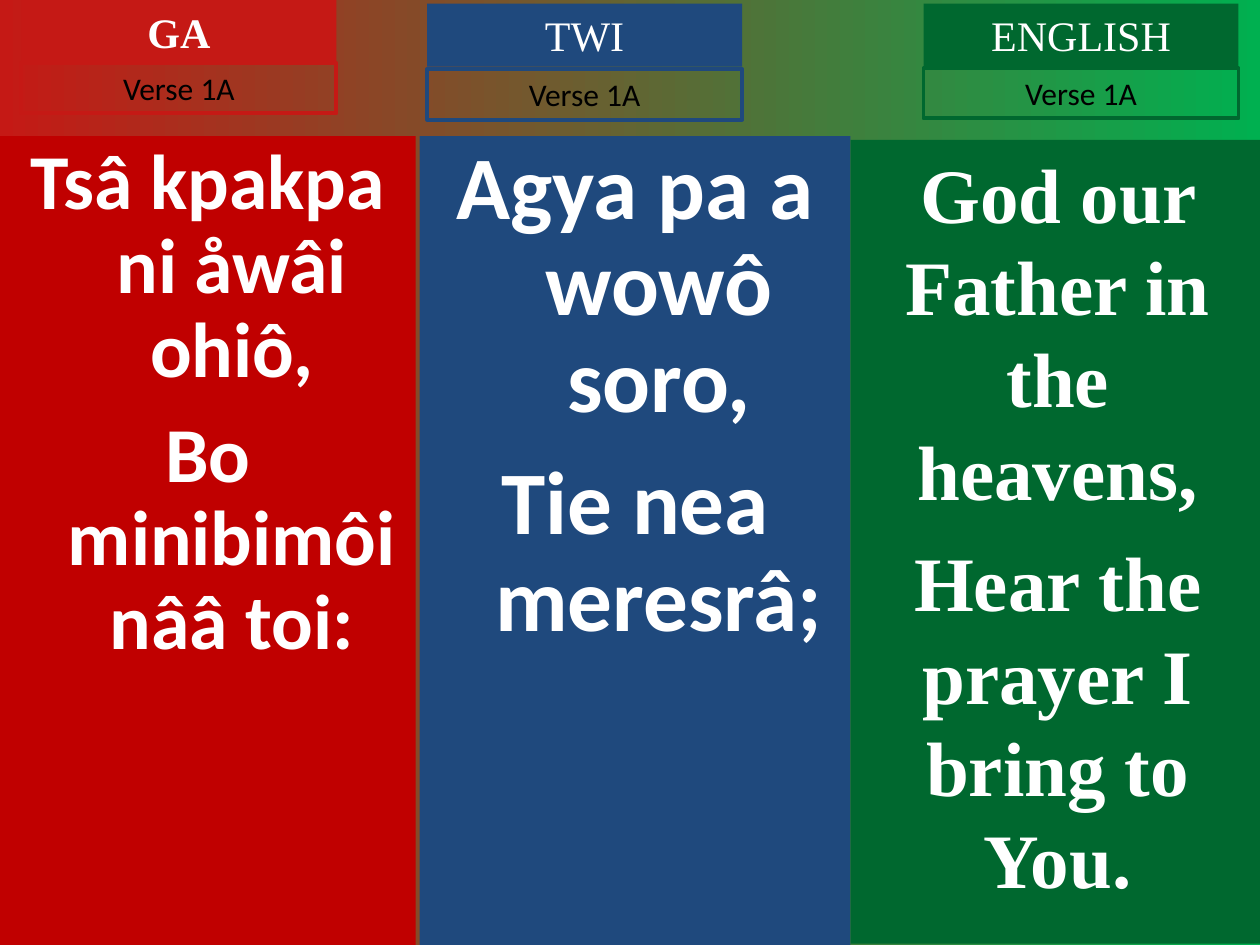
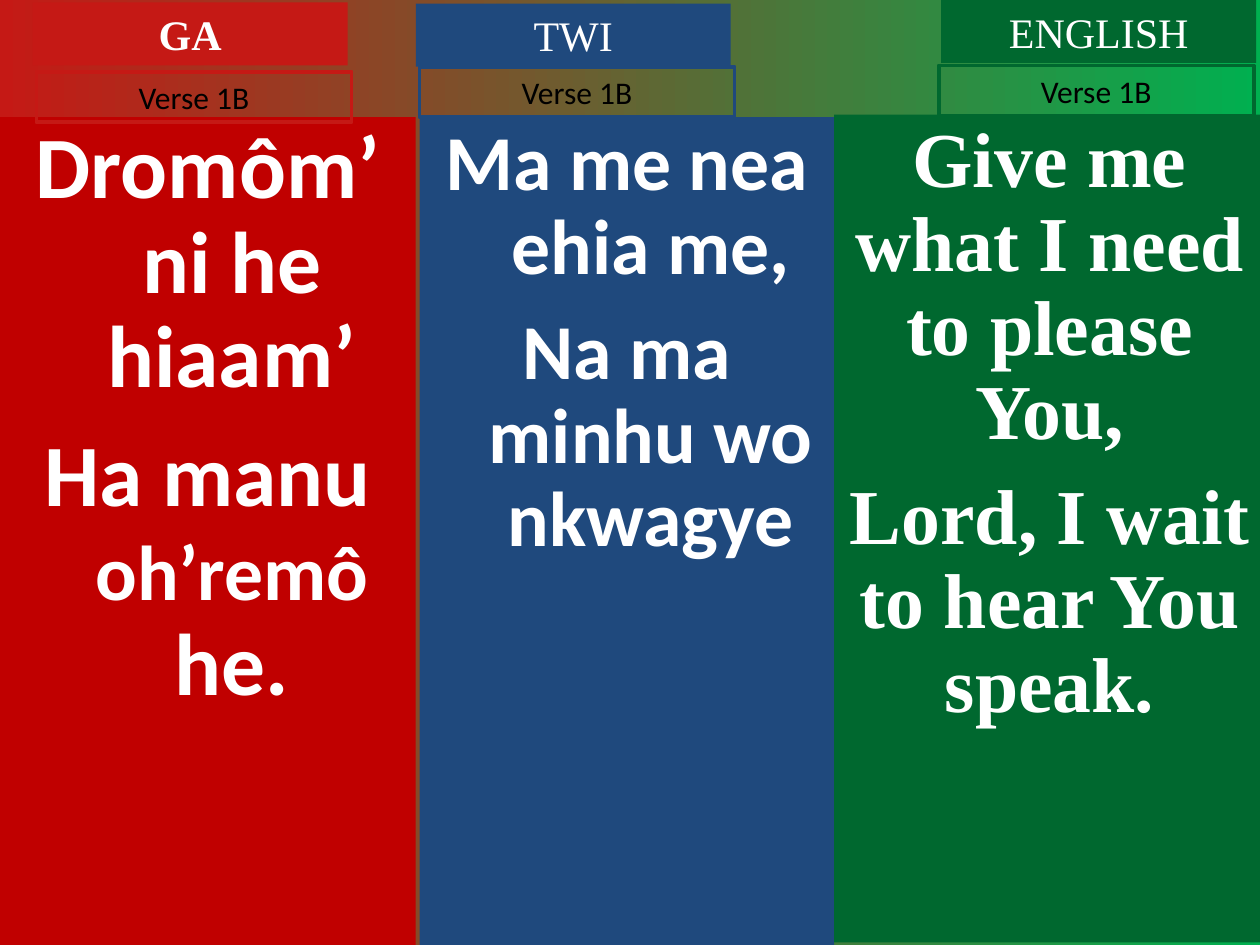
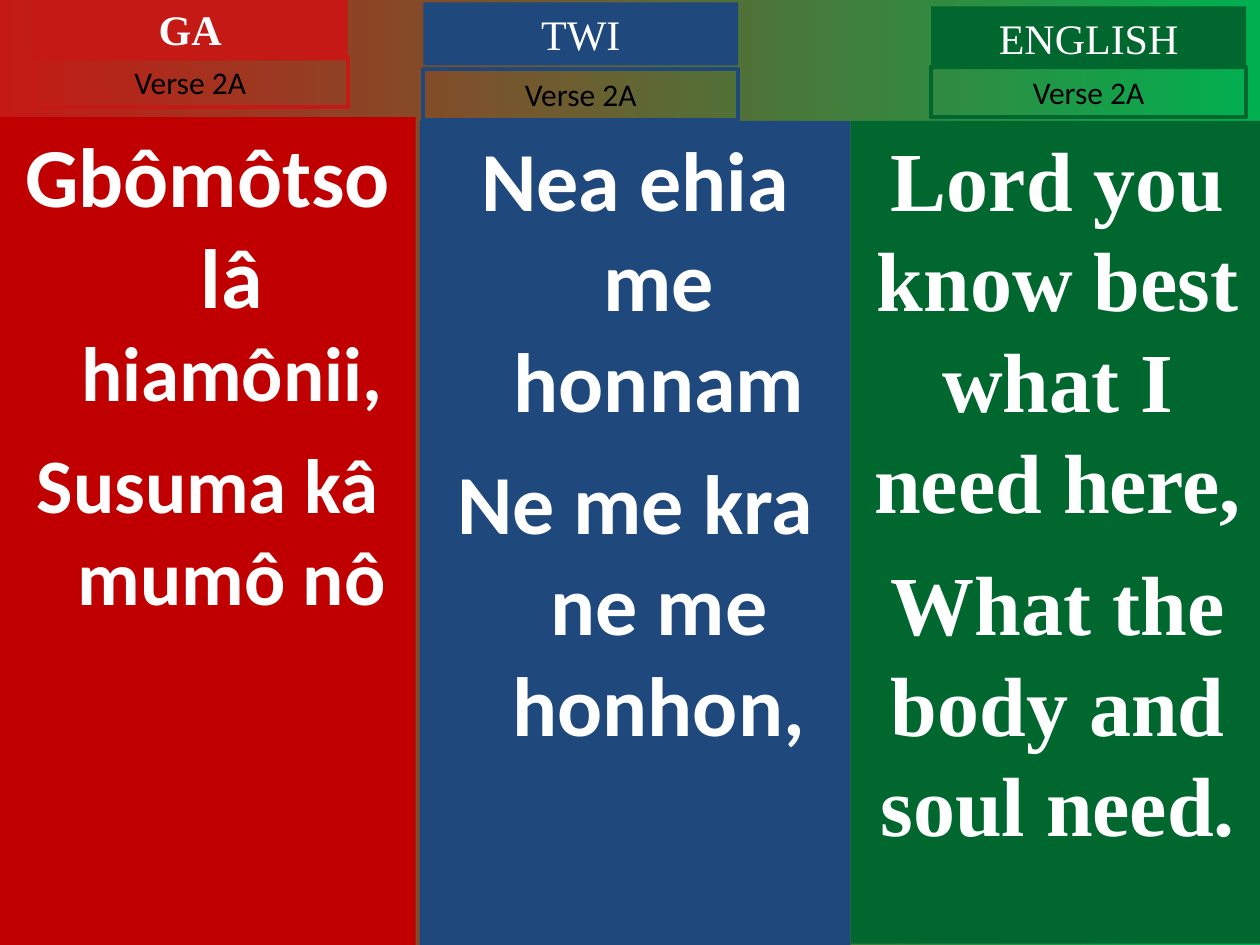
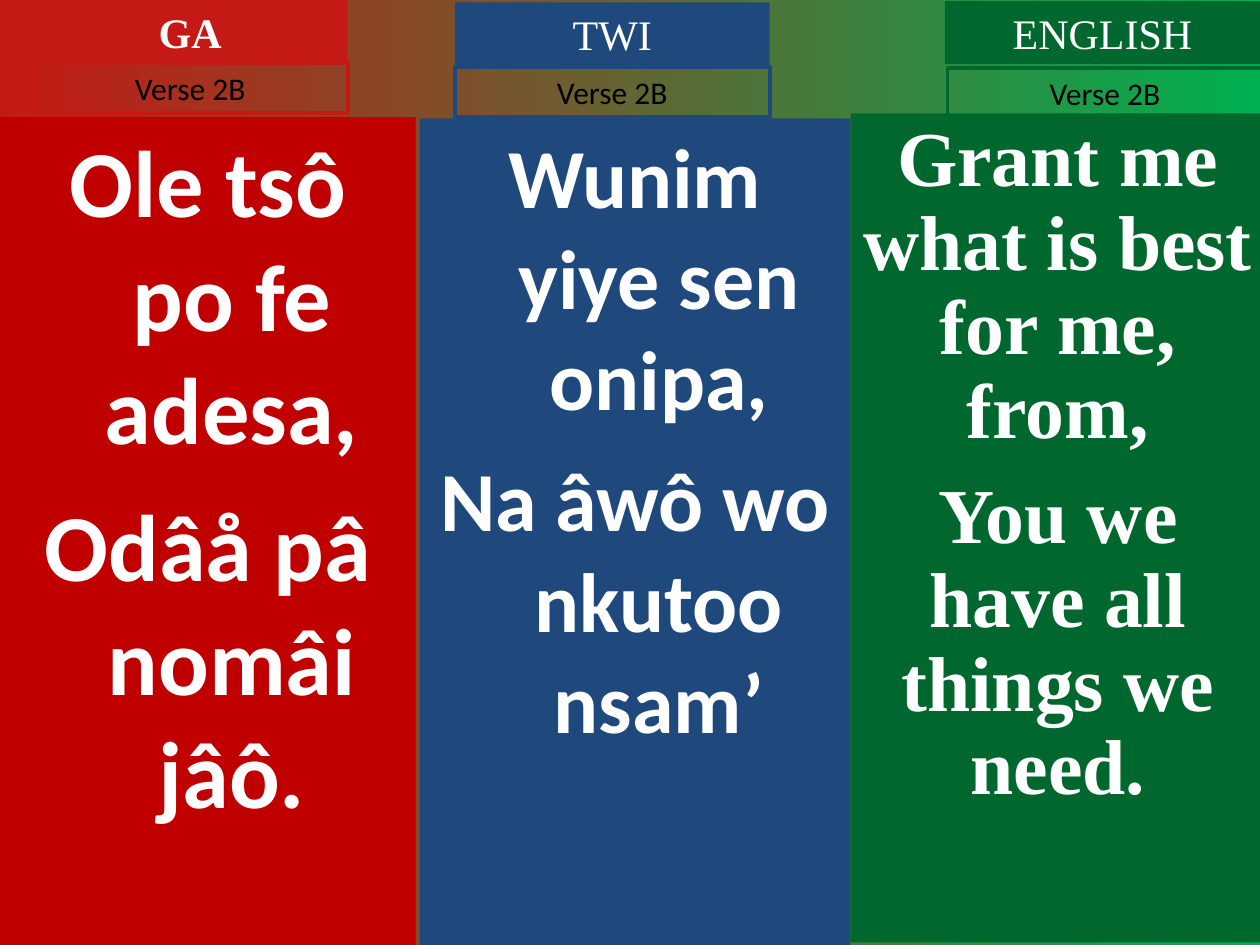
from dataclasses import dataclass

from pptx import Presentation
from pptx.dml.color import RGBColor
from pptx.enum.shapes import MSO_SHAPE
from pptx.enum.text import MSO_ANCHOR, MSO_AUTO_SIZE, PP_ALIGN
from pptx.util import Inches, Pt


@dataclass(frozen=True)
class Theme:
    white: str = "FFFFFF"
    black: str = "000000"
    gradient: tuple = ("C51915", "00B050")
    heading_font: str = "Times New Roman"
    label_font: str = "Calibri"
    heading_size: float = 24
    label_size: float = 18
    label_line: float = 2.25
    tag_width: float = 2.5
    heading_height: float = 0.5
    label_height: float = 0.4
    hanging_indent: float = 0.38


@dataclass(frozen=True)
class Language:
    name: str
    panel_color: str
    tag_color: str
    lyric_font: str
    hanging: bool = True
    bold_heading: bool = False


@dataclass(frozen=True)
class Column:
    language: Language
    panel: tuple
    heading_at: tuple
    label_at: tuple
    size: float
    gap: float
    line_spacing: float
    lyrics: tuple


THEME = Theme()
GA = Language("GA", "C00000", "C51915", "Calibri", bold_heading=True)
TWI = Language("TWI", "1F497D", "1F497D", "Calibri")
ENGLISH = Language("ENGLISH", "00682F", "00682F", "Times New Roman", hanging=False)

VERSES = {
    "Verse 1A": (
        Column(GA, (0, 1.08, 3.3, 6.42), (0.17, 0), (0.17, 0.5), 44.4, 12, 0.9,
               ("Tsâ kpakpa ni åwâi ohiô,", "Bo minibimôi nââ toi:")),
        Column(TWI, (3.33, 1.08, 3.42, 6.42), (3.39, 0.03), (3.39, 0.55), 51, 15, 0.9,
               ("Agya pa a wowô soro,", "Tie nea meresrâ;")),
        Column(ENGLISH, (6.75, 1.11, 3.29, 6.38), (7.33, 0.03), (7.33, 0.54), 44, 11, 1,
               ("God our Father in the heavens,", "Hear the prayer I bring to You.")),
    ),
    "Verse 1B": (
        Column(GA, (0, 0.93, 3.3, 6.57), (0.26, 0.02), (0.29, 0.57), 50, 13.5, 0.9,
               ("Dromôm’ ni he hiaam’",
                (("Ha manu ", 50), ("oh’remô", 44.4), (" he.", 50)))),
        Column(TWI, (3.33, 0.93, 3.29, 6.57), (3.3, 0.03), (3.33, 0.53), 44.4, 12, 0.9,
               ("Ma me nea ehia me,", "Na ma minhu wo nkwagye")),
        Column(ENGLISH, (6.62, 0.91, 3.42, 6.57), (7.47, 0), (7.45, 0.52), 44.4, 12, 0.9,
               ("Give me what I need to please You,", "Lord, I wait to hear You speak.")),
    ),
    "Verse 2A": (
        Column(GA, (0, 0.93, 3.3, 6.57), (0.26, -0.02), (0.26, 0.45), 44, 11, 1,
               ((("Gbômôtso lâ ", 48), ("hiamônii,", 44)), "Susuma kâ mumô nô")),
        Column(TWI, (3.33, 0.96, 3.42, 6.54), (3.36, 0.02), (3.36, 0.55), 48, 12, 1,
               ("Nea ehia me honnam", "Ne me kra ne me honhon,")),
        Column(ENGLISH, (6.75, 0.96, 3.29, 6.53), (7.39, 0.05), (7.39, 0.53), 48, 12, 1,
               ("Lord you know best what I need here,", "What the body and soul need.")),
    ),
    "Verse 2B": (
        Column(GA, (0, 0.93, 3.3, 6.57), (0.26, 0), (0.26, 0.5), 54, 13.5, 1,
               ("Ole tsô po fe adesa,", "Odâå pâ nomâi jâô.")),
        Column(TWI, (3.33, 0.94, 3.42, 6.56), (3.61, 0.02), (3.61, 0.53), 48, 12, 1,
               ("Wunim yiye sen onipa,", "Na âwô wo nkutoo nsam’")),
        Column(ENGLISH, (6.75, 0.9, 3.29, 6.58), (7.5, 0.01), (7.52, 0.54), 44.4, 12, 0.9,
               ("Grant me what is best for me, from,", "You we have all things we need.")),
    ),
}


def rgb(color):
    return RGBColor.from_string(color)


def add_box(slide, box, fill=None, line=None):
    shape = slide.shapes.add_shape(MSO_SHAPE.RECTANGLE, *map(Inches, box))
    shape.shadow.inherit = False
    if fill:
        shape.fill.solid()
        shape.fill.fore_color.rgb = rgb(fill)
    else:
        shape.fill.background()
    if line:
        shape.line.color.rgb = rgb(line)
        shape.line.width = Pt(THEME.label_line)
    else:
        shape.line.fill.background()
    shape.text_frame.word_wrap = True
    shape.text_frame.vertical_anchor = MSO_ANCHOR.TOP
    return shape


def style_paragraph(paragraph, font_name, color, bold, size=None):
    paragraph.alignment = PP_ALIGN.CENTER
    paragraph.font.name = font_name
    paragraph.font.color.rgb = rgb(color)
    paragraph.font.bold = bold
    if size:
        paragraph.font.size = Pt(size)


def add_tag(slide, box, text, font_name, size, color, bold=False, **look):
    frame = add_box(slide, box, **look).text_frame
    frame.auto_size = MSO_AUTO_SIZE.SHAPE_TO_FIT_TEXT
    paragraph = frame.paragraphs[0]
    paragraph.add_run().text = text
    style_paragraph(paragraph, font_name, color, bold, size)


def add_lyric(paragraph, lyric, column):
    language = column.language
    if column.line_spacing != 1:
        paragraph.line_spacing = column.line_spacing
    if language.hanging:
        indent = Inches(THEME.hanging_indent)
        properties = paragraph._p.get_or_add_pPr()
        properties.set("marL", str(indent))
        properties.set("indent", str(-indent))
    if isinstance(lyric, str):
        paragraph.add_run().text = lyric
        style_paragraph(paragraph, language.lyric_font, THEME.white, True, column.size)
        return
    for text, size in lyric:
        run = paragraph.add_run()
        run.text = text
        run.font.size = Pt(size)
    style_paragraph(paragraph, language.lyric_font, THEME.white, True)


def add_lyrics_panel(slide, column):
    frame = add_box(slide, column.panel, fill=column.language.panel_color).text_frame
    for index, lyric in enumerate(column.lyrics):
        paragraph = frame.add_paragraph() if index else frame.paragraphs[0]
        if index:
            paragraph.space_before = Pt(column.gap)
        add_lyric(paragraph, lyric, column)


def add_column(slide, verse, column):
    language = column.language
    add_lyrics_panel(slide, column)
    add_tag(slide, (*column.heading_at, THEME.tag_width, THEME.heading_height),
            language.name, THEME.heading_font, THEME.heading_size, THEME.white,
            language.bold_heading, fill=language.tag_color)
    add_tag(slide, (*column.label_at, THEME.tag_width, THEME.label_height),
            verse, THEME.label_font, THEME.label_size, THEME.black,
            line=language.tag_color)


def set_background(master):
    fill = master.background.fill
    fill.gradient()
    fill.gradient_angle = 0
    for stop, color, position in zip(fill.gradient_stops, THEME.gradient, (0, 1)):
        stop.color.rgb = rgb(color)
        stop.position = position


def main():
    presentation = Presentation()
    presentation.slide_width = Inches(10)
    presentation.slide_height = Inches(7.5)
    set_background(presentation.slide_master)
    blank_layout = presentation.slide_layouts[6]
    for verse, columns in VERSES.items():
        slide = presentation.slides.add_slide(blank_layout)
        for column in columns:
            add_column(slide, verse, column)
    presentation.save("out.pptx")


if __name__ == "__main__":
    main()
